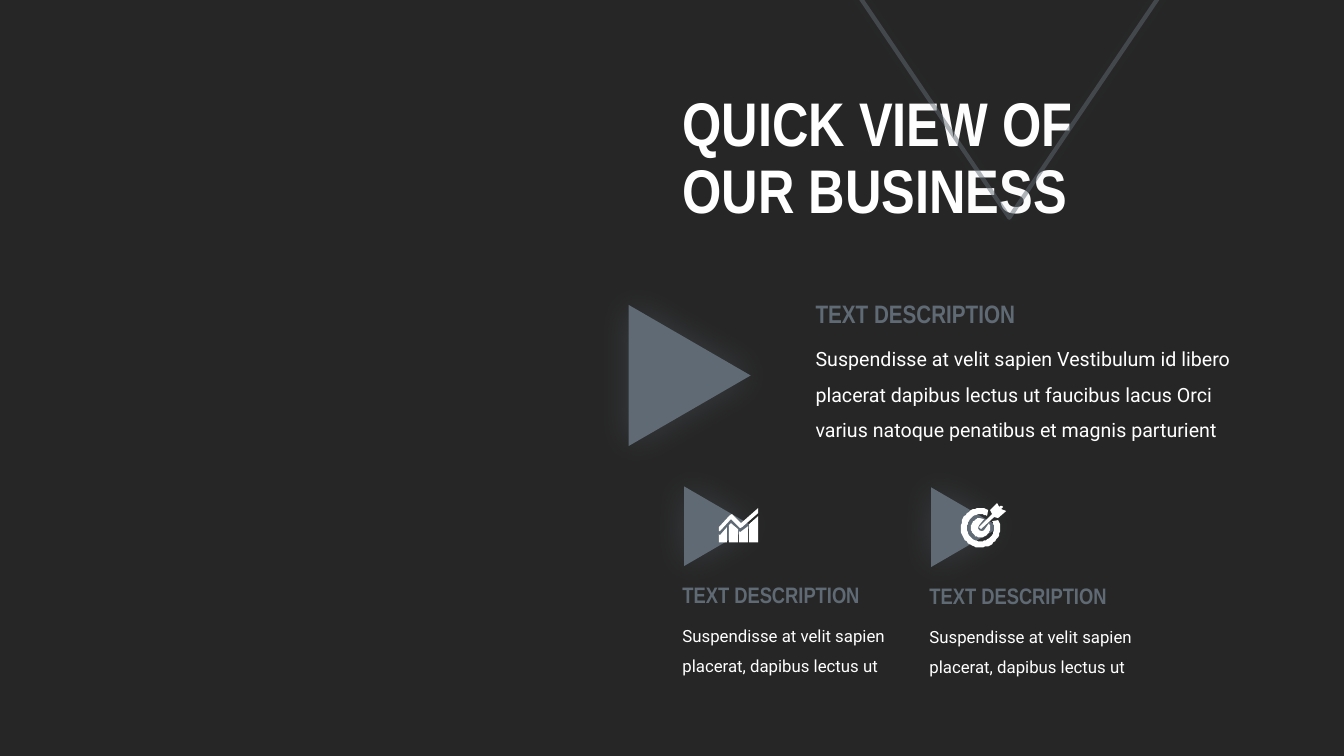
import math
import pptx
import pptx.util
import pptx.dml.color
import pptx.enum.shapes
import pptx.enum.text
import pptx.oxml
import pptx.oxml.ns
from pptx.util import Inches

DARK = pptx.dml.color.RGBColor(0x26, 0x26, 0x26)
SLATE = pptx.dml.color.RGBColor(0x60, 0x6A, 0x74)
WHITE = pptx.dml.color.RGBColor(0xFF, 0xFF, 0xFF)
HEAD = "TEXT DESCRIPTION"
NS = pptx.oxml.ns.nsdecls("a")
qn = pptx.oxml.ns.qn

deck = pptx.Presentation()
deck.slide_width, deck.slide_height = Inches(13.33), Inches(7.5)
slide = deck.slides.add_slide(deck.slide_layouts[0])
slide.background.fill.solid()
slide.background.fill.fore_color.rgb = DARK
sub = slide.placeholders[1]._element
sub.getparent().remove(sub)


def add_text(box, text, size, face, color, bold=False, lead=None):
    """Place one wrapped text box with a single style."""
    shape = slide.shapes.add_textbox(*map(Inches, box))
    frame = shape.text_frame
    frame.word_wrap = True
    frame.auto_size = pptx.enum.text.MSO_AUTO_SIZE.SHAPE_TO_FIT_TEXT
    para = frame.paragraphs[0]
    para.text = text
    para.line_spacing = lead
    font = para.font
    font.name, font.size, font.bold = face, pptx.util.Pt(size), bold
    font.color.rgb = color


def add_glow(box, turn):
    """Place a rotated triangle with a soft slate shadow."""
    shape = slide.shapes.add_shape(
        pptx.enum.shapes.MSO_SHAPE.ISOSCELES_TRIANGLE, *map(Inches, box))
    shape.rotation = turn
    shape.shadow.inherit = False
    blur = pptx.util.Pt(25)
    shape._element.spPr.find(qn("a:effectLst")).append(pptx.oxml.parse_xml(
        f'<a:outerShdw {NS} blurRad="{blur}" dist="0" dir="0" algn="ctr" '
        f'rotWithShape="0"><a:srgbClr val="{SLATE}"><a:alpha val="35000"/>'
        '</a:srgbClr></a:outerShdw>'))
    return shape


# Title
title = slide.shapes.title
title.left, title.top = Inches(6.67), Inches(0.8)
title.width, title.height = Inches(5.62), Inches(1.58)
frame = title.text_frame
frame.auto_size = pptx.enum.text.MSO_AUTO_SIZE.NONE
frame.vertical_anchor = pptx.enum.text.MSO_ANCHOR.MIDDLE
para = frame.paragraphs[0]
para.add_run().text = "QUICK VIEW OF"
para.add_line_break()
para.add_run().text = "OUR BUSINESS"
para.alignment = pptx.enum.text.PP_ALIGN.LEFT
para.line_spacing = 0.9
para.font.name, para.font.size = "Arial Narrow", pptx.util.Pt(44)
para.font.bold = True
para.font.color.rgb = WHITE

# Half-clear outline hanging from the top edge
outline = add_glow((8.08, -0.69, 3.86, 2.85), 180)
outline.fill.background()
outline.line.color.rgb = SLATE
outline.line.width = pptx.util.Pt(3)
tint = outline._element.spPr.find(".//" + qn("a:ln")).find(".//" + qn("a:srgbClr"))
tint.append(pptx.oxml.parse_xml(f'<a:alpha {NS} val="50000"/>'))

# Solid triangles pointing right
for box in ((6.14, 3.12, 1.4, 1.21), (6.73, 4.88, 0.79, 0.68),
            (9.18, 4.89, 0.79, 0.68)):
    marker = add_glow(box, 90)
    marker.fill.solid()
    marker.fill.fore_color.rgb = SLATE
    marker.line.fill.background()

# Main description
add_text((7.99, 3.28, 4.55, 1.12),
         "Suspendisse at velit sapien Vestibulum id libero placerat dapibus "
         "lectus ut faucibus lacus Orci varius natoque penatibus et magnis "
         "parturient", 14, "Roboto", WHITE, lead=1.5)
add_text((7.99, 2.91, 2.45, 0.4), HEAD, 18, "Arial Narrow", SLATE, bold=True)

# Two small descriptions
for left, top in ((6.67, 5.72), (9.12, 5.73)):
    add_text((left, top + 0.34, 2.32, 0.67),
             "Suspendisse at velit sapien placerat, dapibus lectus ut",
             12, "Roboto", WHITE, lead=1.5)
    add_text((left, top, 2.21, 0.37), HEAD, 16, "Arial Narrow", SLATE, bold=True)

# Growth icon: four bars under a trend line, in hundredths of an inch
growth = [
    [(721, 538), (721, 523), (714, 531), (713, 530), (713, 538)],
    [(732, 538), (732, 525), (725, 519), (723, 521), (723, 538)],
    [(742, 538), (742, 522), (734, 528), (733, 527), (733, 538)],
    [(752, 538), (752, 512), (743, 520), (743, 538)],
    [(752, 504), (735, 519), (727, 511), (725.5, 510.5), (724, 511),
     (713, 523), (713, 527), (714, 527), (725, 515), (733, 523),
     (734.5, 523.8), (736, 523), (752, 509)],
]

# Target icon: open ring, arrow and notched disc
arcs = []
for radius, start, end in ((19.5, -24, 294), (13.5, 300, -30), (9.5, -25, 270)):
    angles = [math.radians(start + (end - start) * i / 48) for i in range(49)]
    arcs.append([(972.5 + radius * math.cos(a), 523.5 + radius * math.sin(a))
                 for a in angles])
outer, inner, disc = arcs
target = [
    outer + inner,
    [(994, 502), (993, 501.5), (992, 502), (991, 503), (989, 499), (982, 506),
     (984, 510), (972, 522), (971.3, 523), (972, 524), (973, 524.7), (974, 524),
     (986, 513), (990, 514), (998, 507), (993, 505), (994, 504), (994.7, 503)],
    disc + [(976, 515), (971, 521), (969.5, 523.5), (971, 526), (973.5, 527),
            (976, 526)],
]

for icon in (growth, target):
    group = slide.shapes.add_group_shape()
    for points in icon:
        pen = group.shapes.build_freeform(*points[0], scale=Inches(0.01))
        pen.add_line_segments(points[1:], close=True)
        part = pen.convert_to_shape()
        part.shadow.inherit = False
        part.fill.solid()
        part.fill.fore_color.rgb = WHITE
        part.line.fill.background()

deck.save("out.pptx")
